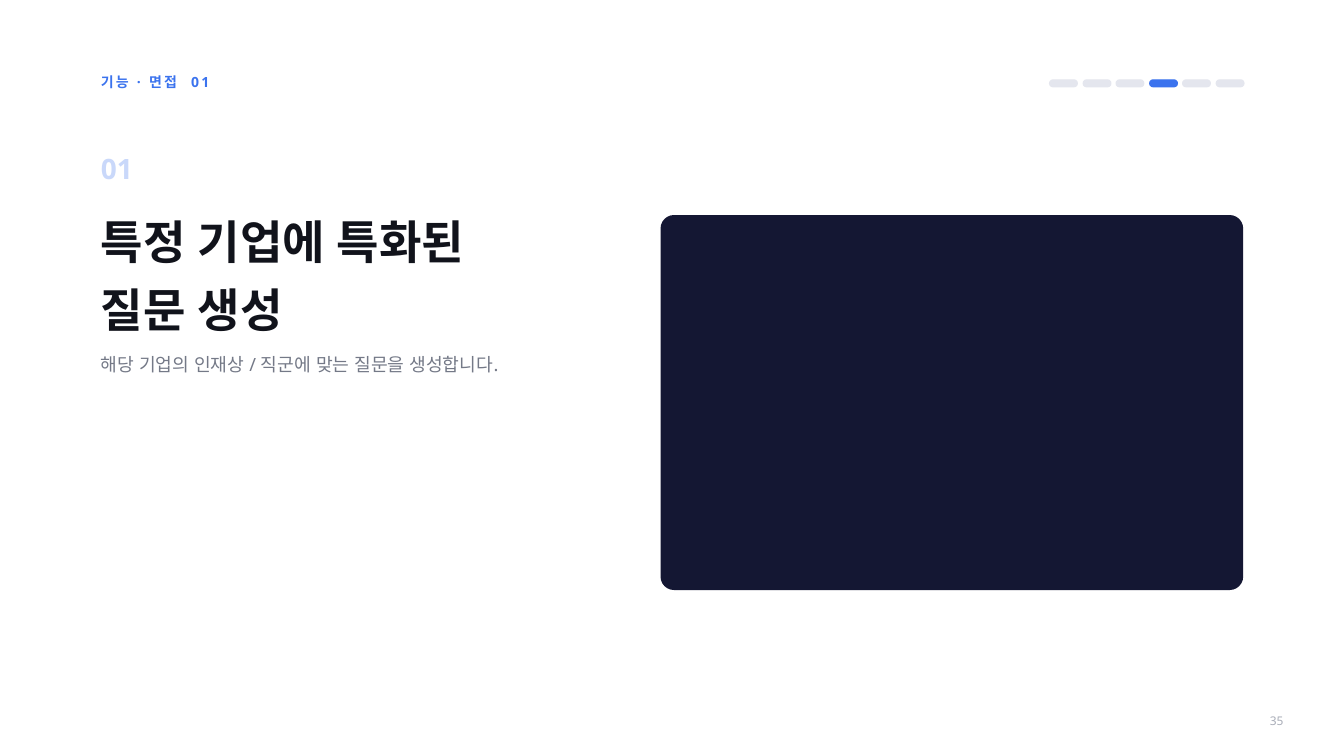
import pptx
import pptx.dml.color
import pptx.enum.shapes
import pptx.enum.text
import pptx.oxml
import pptx.oxml.ns
import pptx.util

RGB = pptx.dml.color.RGBColor
ANCHOR = pptx.enum.text.MSO_ANCHOR
ALIGN = pptx.enum.text.PP_ALIGN
PX = 9144
FONT = "Noto Sans"
BLUE = RGB(0x3B, 0x73, 0xEE)
PALE_BLUE = RGB(0xC9, 0xD8, 0xFA)
TRACK = RGB(0xE4, 0xE6, 0xEE)
NAVY = RGB(0x14, 0x17, 0x33)
INK = RGB(0x11, 0x13, 0x1B)
GRAY = RGB(0x74, 0x79, 0x87)
LIGHT_GRAY = RGB(0xA9, 0xAD, 0xB8)


def px(*values):
    return [pptx.util.Emu(v * PX) for v in values]


def write(sp, lines, size, leading, color, bold=False, align=ALIGN.LEFT,
          anchor=ANCHOR.TOP, spacing=0):
    tf = sp.text_frame
    tf.margin_left = tf.margin_right = tf.margin_top = tf.margin_bottom = 0
    tf.word_wrap = True
    tf.auto_size = pptx.enum.text.MSO_AUTO_SIZE.NONE
    tf.vertical_anchor = anchor
    tf.text = "\n".join(lines)
    for p in tf.paragraphs:
        p.alignment = align
        p.line_spacing = pptx.util.Pt(leading)
        p.space_before = pptx.util.Pt(0)
        font = p.font
        font.name, font.size, font.bold = FONT, pptx.util.Pt(size), bold
        font.color.rgb = color
        props = p._p.pPr.find(pptx.oxml.ns.qn("a:defRPr"))
        if spacing:
            props.set("spc", str(int(spacing * 100)))
        east_asian = pptx.oxml.parse_xml(
            f'<a:ea {pptx.oxml.ns.nsdecls("a")} typeface="{FONT}"/>')
        props.find(pptx.oxml.ns.qn("a:latin")).addnext(east_asian)


def add_text(s, box, lines, size, leading, color, **style):
    sp = s.shapes.add_textbox(*px(*box))
    write(sp, lines, size, leading, color, **style)


def add_rounded(s, box, radius, color, outline=None):
    sp = s.shapes.add_shape(
        pptx.enum.shapes.MSO_SHAPE.ROUNDED_RECTANGLE, *px(*box))
    sp.adjustments[0] = radius / min(box[2:])
    sp.shadow.inherit = False
    sp.fill.solid()
    sp.fill.fore_color.rgb = color
    if outline:
        sp.line.color.rgb = color
        sp.line.width = pptx.util.Pt(outline)
    else:
        sp.line.fill.background()


def add_progress(s, box, count, current):
    left, top, width, height = box
    pill = 41
    step = (width - pill) / (count - 1)
    for i in range(count):
        color = BLUE if i == current else TRACK
        add_rounded(s, (left + round(i * step), top, pill, height),
                    height / 2, color, 1.5)


def add_header(s, box):
    left, top, width, height = box
    add_text(s, (left, top, 975, height), ["기능 · 면접  01"], 15, 18, BLUE,
             bold=True, spacing=2.4)
    add_progress(s, (left + width - 288, top + 10, 289, 10), 6, 3)


def add_feature(s, box):
    left, top, width, height = box
    add_text(s, (left, top, 240, 50), ["01"], 30, 36, PALE_BLUE, bold=True)
    title = s.shapes.title
    title.left, title.top, title.width, title.height = px(
        left, top + 74, width, 196)
    write(title, ["특정 기업에 특화된", "질문 생성"], 49.5, 72.5, INK, bold=True)
    add_text(s, (left, top + 286, width, 44),
             ["해당 기업의 인재상 / 직군에 맞는 질문을 생성합니다."], 19.5, 33.9, GRAY)
    add_rounded(s, (left + 833, top + 95, width - 833, height - 95), 20, NAVY)


def add_page_number(s, box, number):
    add_text(s, box, [str(number)], 12.8, 15.3, LIGHT_GRAY,
             align=ALIGN.RIGHT, anchor=ANCHOR.MIDDLE)


def main():
    prs = pptx.Presentation()
    prs.slide_width, prs.slide_height = px(2000, 1125)
    s = prs.slides.add_slide(prs.slide_layouts[5])
    add_header(s, (150, 109, 1700, 25))
    add_feature(s, (150, 225, 1700, 653))
    add_page_number(s, (1835, 1055, 75, 34), 35)
    prs.save("out.pptx")


if __name__ == "__main__":
    main()
